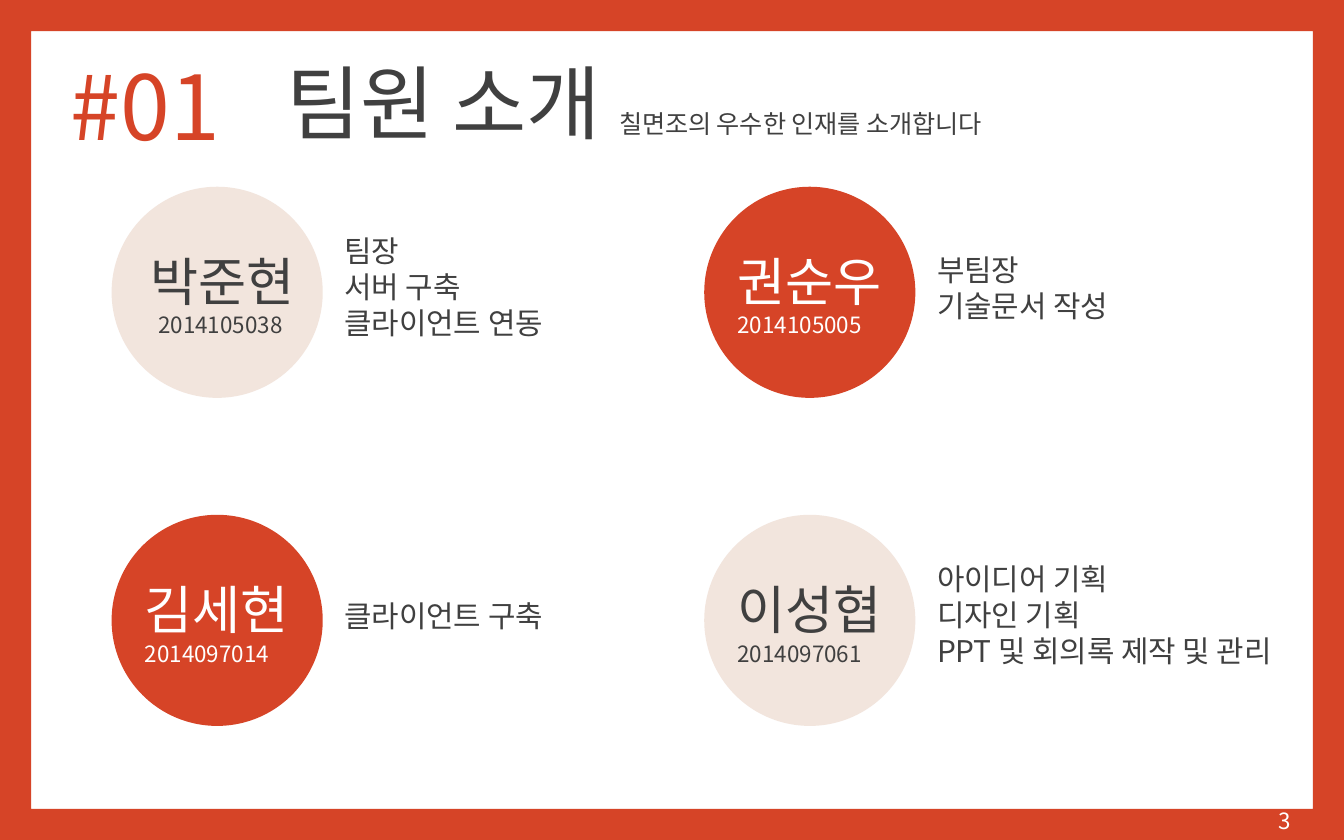
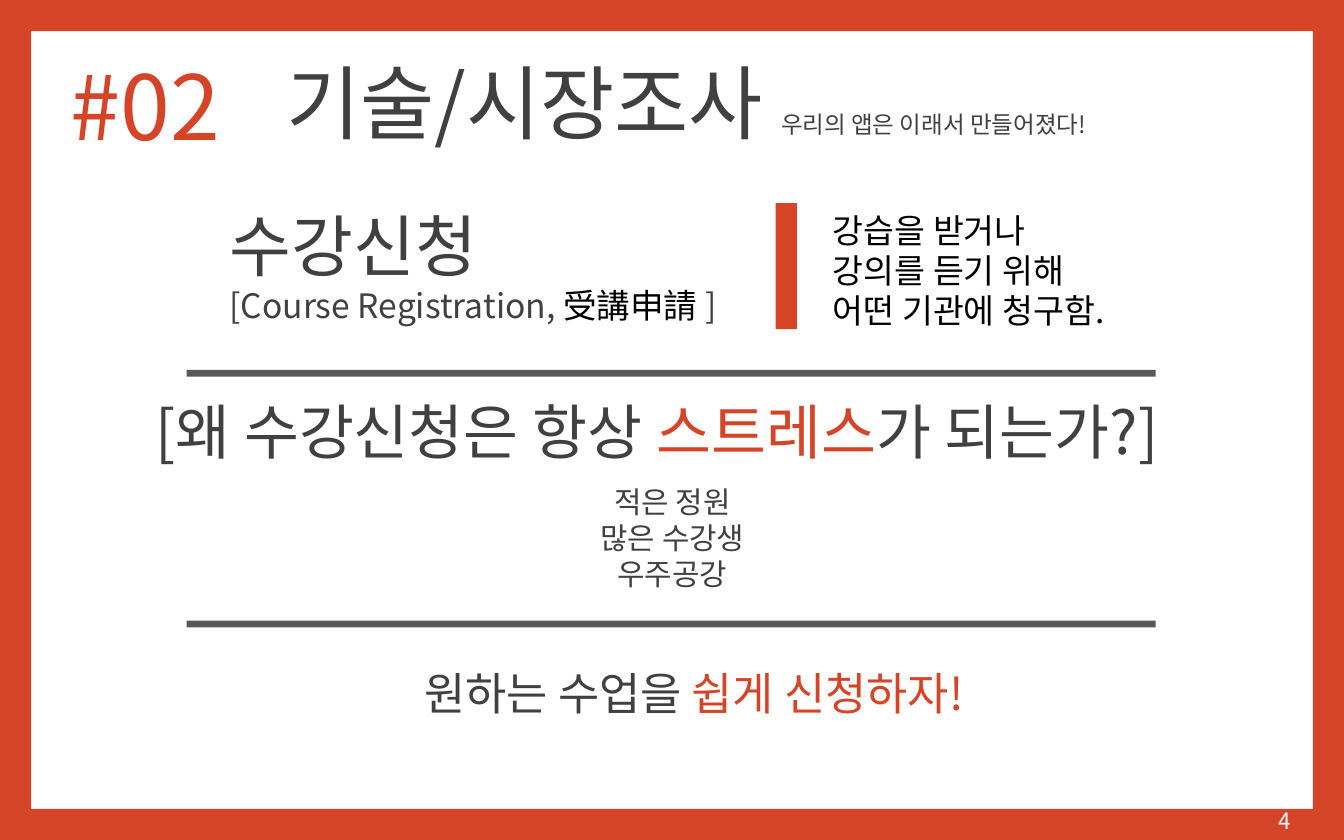
from lxml import etree
from pptx import Presentation
from pptx import util as u
from pptx.dml.color import RGBColor
from pptx.enum import shapes, text
from pptx.oxml import ns

HUES = {"red": "D64427", "cream": "F2E5DD", "ink": "404040",
        "rule": "595959", "white": "FFFFFF", "black": "000000"}
FACE = "Noto Sans CJK KR"
LEFT, MID, RIGHT = text.PP_ALIGN.LEFT, text.PP_ALIGN.CENTER, text.PP_ALIGN.RIGHT
OVAL, RECT, FRAME = (shapes.MSO_SHAPE.OVAL, shapes.MSO_SHAPE.RECTANGLE,
                     shapes.MSO_SHAPE.FRAME)


class Deck:
    def __init__(self):
        self.prs = Presentation()
        self.prs.slide_width = u.Cm(25.4)
        self.prs.slide_height = u.Cm(15.875)
        self.slide = None

    def page(self, mark, title, note, size, num):
        self.slide = self.prs.slides.add_slide(self.prs.slide_layouts[6])
        frame = self.shape(FRAME, 0, 0, 25.4, 15.875, "red")
        frame.adjustments[0] = 0.037
        self.text(5.16, 0.94, 18.54, 1.96,
                  [[(title, 43.2, "ink"), (note, size, "ink")]], middle=True)
        self.text(1.09, 0.84, 4.45, 1.98, [[(mark, 48, "red")]])
        self.text(18.72, 15.09, 5.92, 0.84, [[(num, 12, "white")]],
                  RIGHT, middle=True)

    def shape(self, kind, x, y, w, h, hue, home=None):
        form = (home or self.slide).shapes.add_shape(
            kind, u.Cm(x), u.Cm(y), u.Cm(w), u.Cm(h))
        form.shadow.inherit = False
        form.fill.solid()
        form.fill.fore_color.rgb = RGBColor.from_string(HUES[hue])
        form.line.fill.background()
        return form

    def style(self, font, size, hue):
        font.size = u.Pt(size)
        font.color.rgb = RGBColor.from_string(HUES[hue])

    def text(self, x, y, w, h, paras, align=LEFT, middle=False, home=None):
        box = (home or self.slide).shapes.add_textbox(
            u.Cm(x), u.Cm(y), u.Cm(w), u.Cm(h))
        frame = box.text_frame
        frame.word_wrap = True
        if middle:
            frame.vertical_anchor = text.MSO_ANCHOR.MIDDLE
        for i, runs in enumerate(paras):
            para = frame.paragraphs[0] if i == 0 else frame.add_paragraph()
            para.alignment = align
            self.style(para.font, *runs[0][1:])
            para.font.name = FACE
            base = para._p.pPr.find(ns.qn("a:defRPr"))
            etree.SubElement(base, ns.qn("a:ea")).set("typeface", FACE)
            for words, size, hue in runs:
                run = para.add_run()
                run.text = words
                if (size, hue) != runs[0][1:]:
                    self.style(run.font, size, hue)

    def lines(self, x, y, w, h, rows, size, hue, align=LEFT):
        self.text(x, y, w, h, [[(row, size, hue)] for row in rows], align)

    def member(self, x, y, name, code, tasks, fill, hue, align=LEFT):
        group = self.slide.shapes.add_group_shape()
        self.shape(OVAL, x, y, 3.99, 3.99, fill, group)
        self.text(x + 0.38, y + 1.04, 3.45, 1.96,
                  [[(name, 28, hue)], [(code, 12, hue)]], align, True, group)
        high = 0.16 + 0.7 * len(tasks)
        self.lines(x + 4.15, y + 1.88 - high / 2, 7.21, high, tasks, 16, "ink")


def team(deck):
    deck.page("#01", "팀원 소개 ", "칠면조의 우수한 인재를 소개합니다", 13.5, "3")
    cols, rows = (2.11, 13.31), (3.53, 9.73)
    deck.member(cols[0], rows[0], "박준현", "2014105038 ",
                ["팀장", "서버 구축", "클라이언트 연동"], "cream", "ink", MID)
    deck.member(cols[1], rows[0], "권순우", "2014105005",
                ["부팀장", "기술문서 작성"], "red", "white")
    deck.member(cols[0], rows[1], "김세현", "2014097014",
                ["클라이언트 구축"], "red", "white")
    deck.member(cols[1], rows[1], "이성협", "2014097061",
                ["아이디어 기획", "디자인 기획", "PPT 및 회의록 제작 및 관리"],
                "cream", "ink")


def market(deck):
    deck.page("#02", "기술/시장조사 ", "우리의 앱은 이래서 만들어졌다!", 12.6, "4")
    deck.text(4.09, 3.73, 10.74, 2.57, [
        [("수강신청", 36, "ink")],
        [("[Course Registration, ", 18, "ink"), ("受講申請 ", 18, "black"),
         ("]", 18, "ink")]])
    deck.lines(15.49, 3.84, 5.79, 2.57,
               ["강습을 받거나", "강의를 듣기 위해", "어떤 기관에 청구함."],
               18, "black")
    deck.shape(RECT, 14.66, 3.84, 0.4, 2.38, "red")
    deck.text(2.69, 7.34, 19.99, 1.63, [
        [("[왜 수강신청은 항상 ", 32, "ink"), ("스트레스", 32, "red"),
         ("가 되는가?]", 32, "ink")]])
    deck.lines(11.07, 9.02, 3.28, 2.31,
               ["적은 정원", "많은 수강생", "우주공강"], 16, "ink", MID)
    deck.text(7.77, 12.45, 10.69, 1.27, [
        [("원하는 수업을 ", 24, "ink"), ("쉽게 신청하자!", 24, "red")]], MID)
    for y in (6.99, 11.73):
        deck.shape(RECT, 3.53, y, 18.31, 0.13, "rule")


def main():
    deck = Deck()
    team(deck)
    market(deck)
    deck.prs.save("out.pptx")


if __name__ == "__main__":
    main()
